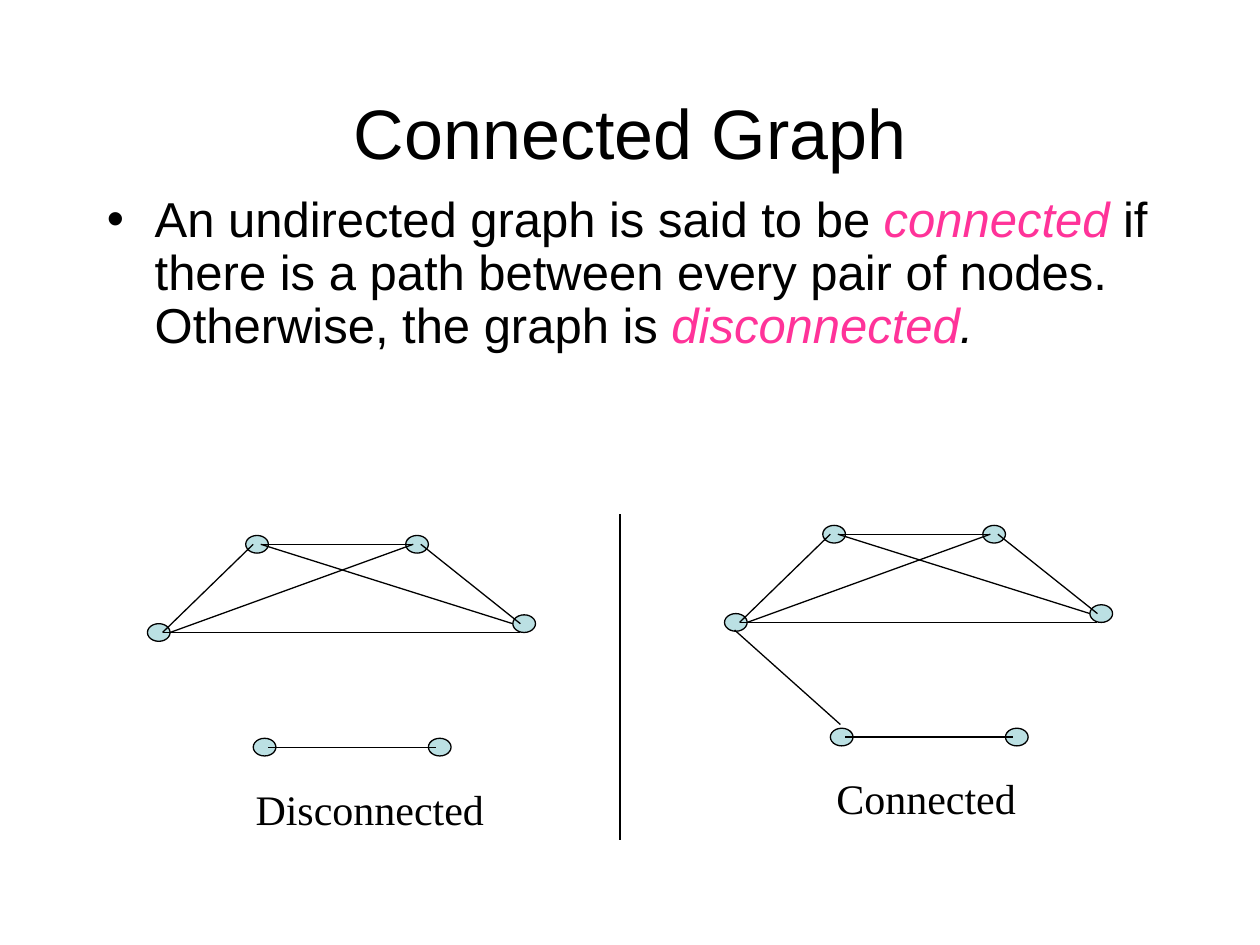
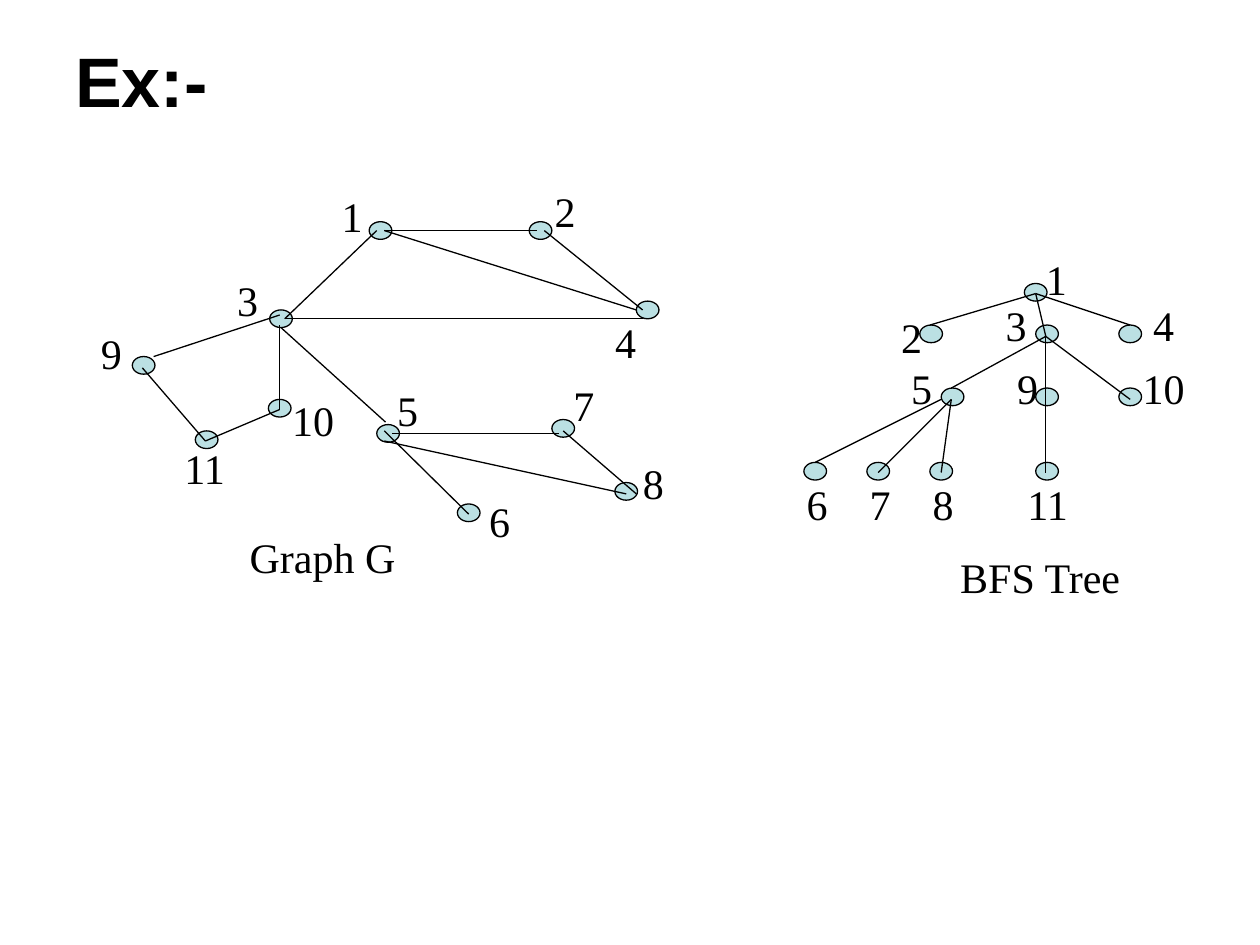
from lxml import etree
from pptx import Presentation
from pptx.dml.color import RGBColor
from pptx.enum.shapes import MSO_CONNECTOR, MSO_SHAPE
from pptx.enum.text import MSO_ANCHOR, MSO_AUTO_SIZE, PP_ALIGN
from pptx.oxml.ns import qn
from pptx.util import Inches, Pt

STRAIGHT = MSO_CONNECTOR.STRAIGHT
OVAL = MSO_SHAPE.OVAL
TOP, MIDDLE = MSO_ANCHOR.TOP, MSO_ANCHOR.MIDDLE
LEFT, CENTER = PP_ALIGN.LEFT, PP_ALIGN.CENTER
GROW = MSO_AUTO_SIZE.SHAPE_TO_FIT_TEXT

COLOURS = {"ink": "000000", "node": "BBE0E3", "accent": "FF3399"}
TITLE = {"name": "Arial", "size": Pt(40)}
BODY = {"name": "Arial", "size": Pt(28)}
LABEL = {"name": "Times New Roman", "size": Pt(24)}
LABEL_FRAME = {"word_wrap": False, "auto_size": GROW, "margin_left": 0, "margin_right": 0}
NODE_SIZE = (0.18, 0.14)
LABEL_HEIGHT = 0.5
LABEL_WIDTHS = {1: 0.37, 2: 0.53}
BULLET_INDENT = 0.38

DEFINITION = [
    ("An undirected graph is said to be ", "ink", False),
    ("connected", "accent", True),
    (" if there is a path between every pair of nodes. Otherwise, the graph is ", "ink", False),
    ("disconnected", "accent", True),
    (".", "ink", True),
]

PAIR_NODES = [(0, 0.7), (0.78, 0), (0.84, 1.61), (2.23, 1.61), (2.9, 0.63), (2.05, 0)]
PAIR_EDGES = [
    (0.9, 0.07, 2.11, 0.07), (0.12, 0.77, 2.96, 0.77), (0.12, 0.77, 0.84, 0.07),
    (2.17, 0.07, 2.96, 0.7), (0.96, 1.68, 2.29, 1.68), (0.18, 0.77, 2.11, 0.07),
    (0.9, 0.07, 2.9, 0.7),
]
BRIDGE = (0.92, 1.58, 0.08, 0.83)

GRAPH_NODES = [
    (2.43, 0.76), (3.7, 0.76), (1.64, 1.46), (4.55, 1.39), (2.49, 2.37), (3.13, 3),
    (3.88, 2.33), (4.38, 2.83), (0.55, 1.83), (1.63, 2.17), (1.05, 2.42),
]
GRAPH_LABELS = [
    (2.11, 0.46), (3.8, 0.42), (1.28, 1.13), (4.28, 1.46), (2.55, 2), (3.28, 2.88),
    (3.95, 1.96), (4.5, 2.58), (0.2, 1.55), (1.72, 2.08), (0.86, 2.46),
]
GRAPH_EDGES = [
    (2.55, 0.83, 3.76, 0.83), (1.76, 1.53, 4.6, 1.53), (1.76, 1.53, 2.49, 0.83),
    (3.82, 0.83, 4.6, 1.46), (2.61, 2.44, 3.94, 2.44), (2.55, 0.83, 4.55, 1.46),
    (2.56, 2.35, 1.73, 1.6), (3.97, 2.42, 4.55, 2.92), (2.55, 2.42, 3.22, 3.08),
    (2.55, 2.5, 4.47, 2.92), (1.72, 1.5, 0.72, 1.83), (1.72, 1.58, 1.72, 2.25),
    (0.63, 1.92, 1.13, 2.5), (1.72, 2.25, 1.13, 2.5),
]

TREE_NODES = [
    (2.13, 0.75), (1.3, 1.08), (2.22, 1.08), (2.88, 1.08), (1.47, 1.58), (0.38, 2.17),
    (0.88, 2.17), (1.38, 2.17), (2.22, 1.58), (2.88, 1.58), (2.22, 2.17),
]
TREE_LABELS = [
    (2.2, 0.46), (1.05, 0.92), (1.88, 0.83), (3.05, 0.83), (1.13, 1.33), (0.3, 2.25),
    (0.8, 2.25), (1.3, 2.25), (1.97, 1.33), (2.97, 1.33), (2.05, 2.25),
]
TREE_EDGES = [
    (2.22, 0.83, 1.38, 1.08), (2.22, 0.83, 2.3, 1.17), (2.22, 0.83, 2.97, 1.08),
    (1.55, 1.58, 2.3, 1.17), (2.3, 1.67, 2.3, 1.17), (2.97, 1.67, 2.3, 1.17),
    (1.47, 1.67, 0.47, 2.17), (1.55, 1.67, 0.97, 2.25), (1.55, 1.67, 1.47, 2.25),
    (2.3, 1.67, 2.3, 2.25),
]


def colour(name):
    """Return the named colour of the palette."""
    return RGBColor.from_string(COLOURS[name])


def apply_format(target, values):
    """Set attributes of an object from a dict."""
    for attribute, value in values.items():
        setattr(target, attribute, value)


def add_run(paragraph, text, font_format, ink="ink"):
    """Append a run formatted from a dict of font values."""
    run = paragraph.add_run()
    run.text = text
    apply_format(run.font, font_format)
    run.font.color.rgb = colour(ink)


def add_text_box(slide, box, align, frame_format):
    """Add an empty text box and return its first paragraph."""
    frame = slide.shapes.add_textbox(*map(Inches, box)).text_frame
    apply_format(frame, {"word_wrap": True, "vertical_anchor": TOP, **frame_format})
    paragraph = frame.paragraphs[0]
    paragraph.alignment = align
    return paragraph


def add_title(slide, box, text, align=LEFT, bold=False):
    """Add the slide title."""
    paragraph = add_text_box(slide, box, align, {"vertical_anchor": MIDDLE})
    add_run(paragraph, text, {**TITLE, "bold": bold})


def add_definition(slide, box):
    """Add the bulleted definition with its highlighted terms."""
    paragraph = add_text_box(slide, box, LEFT, {})
    paragraph.line_spacing = 0.9
    properties = paragraph._p.get_or_add_pPr()
    properties.set("marL", str(Inches(BULLET_INDENT)))
    properties.set("indent", str(-Inches(BULLET_INDENT)))
    etree.SubElement(properties, qn("a:buFont")).set("typeface", BODY["name"])
    etree.SubElement(properties, qn("a:buChar")).set("char", "•")
    apply_format(paragraph.font, BODY)
    for text, ink, italic in DEFINITION:
        add_run(paragraph, text, {**BODY, "italic": italic}, ink)


def add_label(slide, left, top, width, text):
    """Add a centred serif label that stays on one line."""
    paragraph = add_text_box(slide, (left, top, width, LABEL_HEIGHT), CENTER, LABEL_FRAME)
    add_run(paragraph, text, LABEL)


def add_line(slide, ends):
    """Add a thin line between two points."""
    connector = slide.shapes.add_connector(STRAIGHT, *map(Inches, ends))
    connector.line.width = Pt(0.75)
    connector.line.color.rgb = colour("ink")
    etree.SubElement(connector._element.spPr, qn("a:effectLst"))


def add_node(slide, left, top):
    """Add one graph node."""
    node = slide.shapes.add_shape(OVAL, *map(Inches, (left, top, *NODE_SIZE)))
    node.shadow.inherit = False
    node.fill.solid()
    node.fill.fore_color.rgb = colour("node")
    node.line.color.rgb = colour("ink")
    node.line.width = Pt(0.75)


def add_graph(slide, origin, nodes, edges, caption, labels=()):
    """Draw nodes, edges, numbers and a caption relative to an origin."""
    left, top = origin
    for x, y in nodes:
        add_node(slide, left + x, top + y)
    for x1, y1, x2, y2 in edges:
        add_line(slide, (left + x1, top + y1, left + x2, top + y2))
    for number, (x, y) in enumerate(labels, 1):
        text = str(number)
        add_label(slide, left + x, top + y, LABEL_WIDTHS[len(text)], text)
    x, y, width, text = caption
    add_label(slide, left + x, top + y, width, text)


def build_connected_slide(slide):
    """Build the slide that defines connected graphs."""
    add_title(slide, (0.5, 0.63, 9, 0.83), "Connected Graph", CENTER)
    add_definition(slide, (0.75, 1.5, 8.5, 5.17))
    add_graph(slide, (1.17, 4.25), PAIR_NODES, PAIR_EDGES, (0.76, 1.92, 2.01, "Disconnected"))
    add_graph(slide, (5.75, 4.17), PAIR_NODES, PAIR_EDGES + [BRIDGE],
              (0.79, 1.91, 1.62, "Connected"))
    add_line(slide, (4.92, 4.08, 4.92, 6.67))


def build_example_slide(slide):
    """Build the slide with a graph and its search tree."""
    add_title(slide, (0.5, 0.3, 9, 0.67), "Ex:-", bold=True)
    add_graph(slide, (0.5, 1), GRAPH_NODES, GRAPH_EDGES,
              (1.38, 3.17, 1.36, "Graph G"), GRAPH_LABELS)
    add_graph(slide, (6, 1.5), TREE_NODES, TREE_EDGES,
              (1.51, 2.83, 1.49, "BFS Tree"), TREE_LABELS)


def main():
    """Create and save the presentation."""
    presentation = Presentation()
    presentation.slide_width = Inches(10)
    presentation.slide_height = Inches(7.5)
    blank = presentation.slide_layouts[6]
    for build in (build_connected_slide, build_example_slide):
        build(presentation.slides.add_slide(blank))
    presentation.save("out.pptx")


if __name__ == "__main__":
    main()
